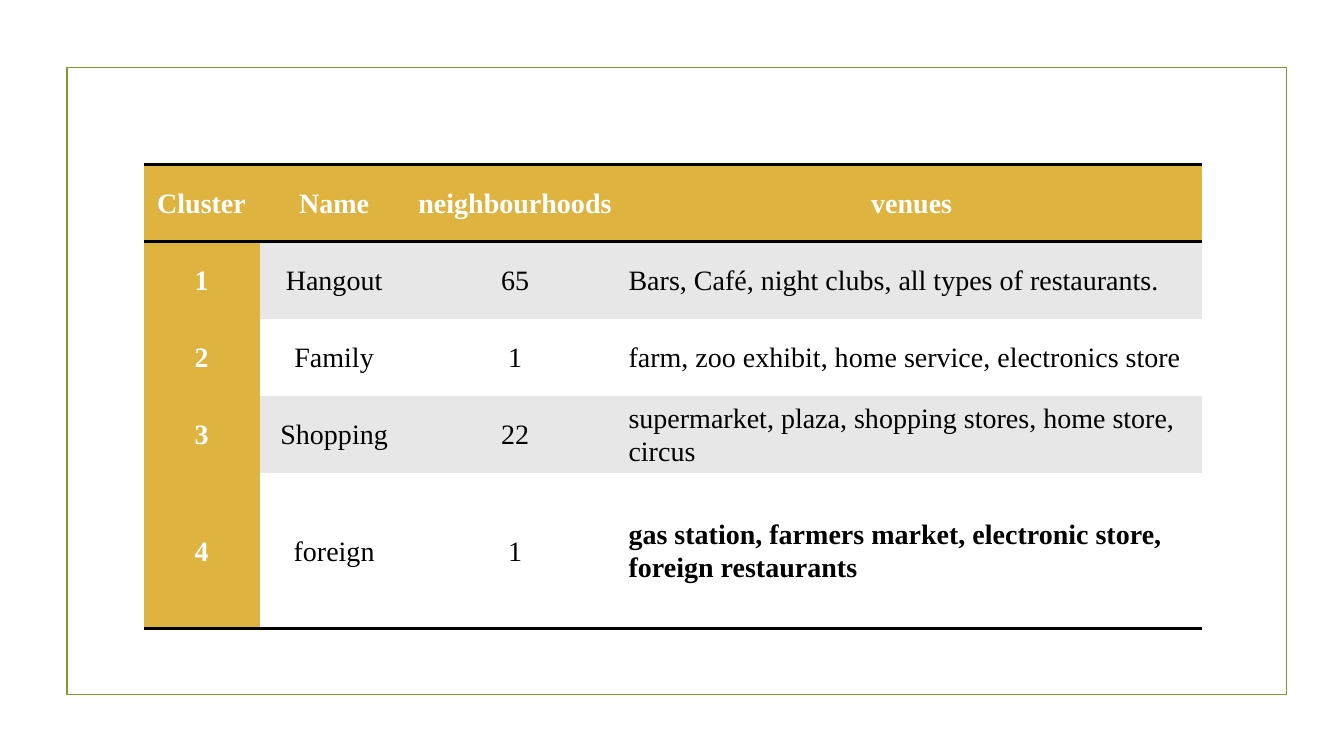
import pptx
import pptx.util
import pptx.dml.color
import pptx.enum.shapes
import pptx.enum.text
import pptx.oxml

Cm = pptx.util.Cm
Pt = pptx.util.Pt
ALIGN = pptx.enum.text.PP_ALIGN

COLOURS = {
    "frame": "83992A",
    "gold": "DEB340",
    "band": "E7E7E7",
    "white": "FFFFFF",
    "black": "000000",
}
HEADER = ("Cluster", "Name", "neighbourhoods", "venues")
CLUSTERS = (
    ("1", "Hangout", "65", "Bars, Café, night clubs, all types of restaurants."),
    ("2", "Family", "1", "farm, zoo exhibit, home service, electronics store"),
    ("3", "Shopping", "22", "supermarket, plaza, shopping stores, home store, circus"),
    ("4", "foreign", "1", "gas station, farmers market, electronic store, foreign restaurants"),
)
COLUMN_WIDTHS = (2.92, 3.76, 5.36, 14.63)
ROW_HEIGHTS = (1.94, 1.94, 1.94, 1.94, 3.93)
NO_GRID_STYLE = "{2D5ABB26-0587-4C30-8999-92F81FD0307C}"
CELL_FORMAT = {
    "margin_left": Cm(0.18),
    "margin_right": Cm(0.18),
    "margin_top": 0,
    "margin_bottom": 0,
    "vertical_anchor": pptx.enum.text.MSO_ANCHOR.MIDDLE,
}


def rgb(name):
    return pptx.dml.color.RGBColor.from_string(COLOURS[name])


def apply(target, values):
    for name, value in values.items():
        setattr(target, name, value)


def add_frame(page, left, top, width, height):
    box = page.shapes.add_shape(
        pptx.enum.shapes.MSO_SHAPE.RECTANGLE, Cm(left), Cm(top), Cm(width), Cm(height)
    )
    box.shadow.inherit = False
    box.fill.background()
    box.line.color.rgb = rgb("frame")
    box.line.width = Pt(1.25)


def rule_cell(cell, sides):
    properties = cell._tc.get_or_add_tcPr()
    for position, side in enumerate(sides):
        border = pptx.oxml.parse_xml(
            f'<a:ln{side} xmlns:a="http://schemas.openxmlformats.org/drawingml/2006/main" '
            f'w="{Pt(2)}"><a:solidFill><a:srgbClr val="{COLOURS["black"]}"/>'
            f"</a:solidFill></a:ln{side}>"
        )
        properties.insert(position, border)


def fill_cell(cell, text, fill, colour, bold, alignment):
    apply(cell, CELL_FORMAT)
    cell.fill.solid()
    cell.fill.fore_color.rgb = rgb(fill)
    para = cell.text_frame.paragraphs[0]
    apply(para, {"alignment": alignment, "line_spacing": 1.07, "space_after": Pt(8)})
    span = para.add_run()
    span.text = text
    apply(span.font, {"name": "Times New Roman", "size": Pt(20), "bold": bold})
    span.font.color.rgb = rgb(colour)


def add_cluster_table(page, left, top):
    rows = (HEADER,) + CLUSTERS
    last_row, last_column = len(rows) - 1, len(HEADER) - 1
    frame = page.shapes.add_table(
        len(rows), len(HEADER), Cm(left), Cm(top),
        Cm(sum(COLUMN_WIDTHS)), Cm(sum(ROW_HEIGHTS)),
    )
    table = frame.table
    apply(table, {"first_row": False, "horz_banding": False})
    table._tbl.tblPr.find(pptx.oxml.ns.qn("a:tableStyleId")).text = NO_GRID_STYLE
    for column, width in zip(table.columns, COLUMN_WIDTHS):
        column.width = Cm(width)
    for row, height in zip(table.rows, ROW_HEIGHTS):
        row.height = Cm(height)
    for r, texts in enumerate(rows):
        for c, text in enumerate(texts):
            heading = r == 0 or c == 0
            fill = "gold" if heading else "band" if r % 2 else "white"
            colour = "white" if heading else "black"
            bold = heading or (r == last_row and c == last_column)
            alignment = ALIGN.LEFT if r and c == last_column else ALIGN.CENTER
            cell = table.cell(r, c)
            fill_cell(cell, text, fill, colour, bold, alignment)
            rule_cell(cell, {0: "TB", last_row: "B"}.get(r, ""))


def main():
    deck = pptx.Presentation()
    apply(deck, {"slide_width": Cm(33.87), "slide_height": Cm(19.05)})
    page = deck.slides.add_slide(deck.slide_layouts[6])
    add_frame(page, 1.69, 1.7, 30.73, 15.8)
    add_cluster_table(page, 3.62, 4.15)
    deck.save("out.pptx")


if __name__ == "__main__":
    main()
